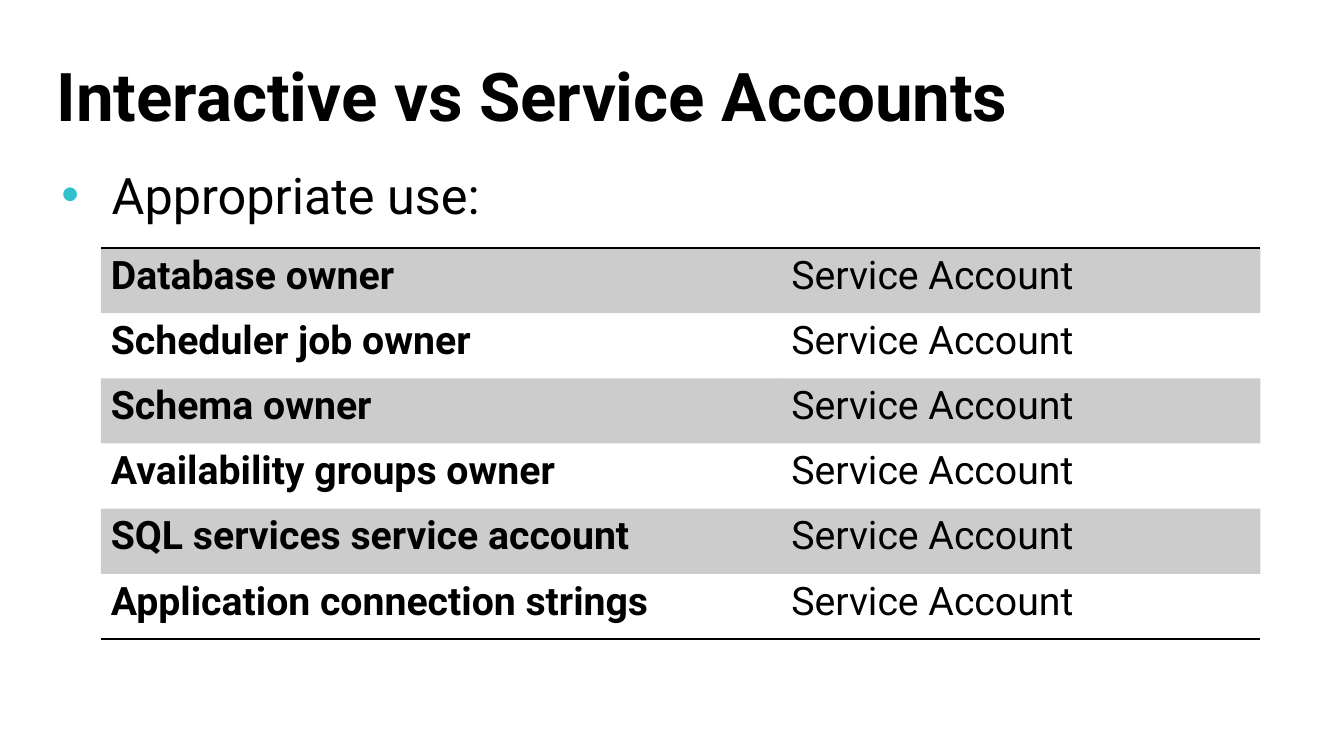
from lxml import etree
from pptx import Presentation
from pptx.dml.color import RGBColor
from pptx.enum.text import MSO_ANCHOR, PP_ALIGN
from pptx.oxml.ns import qn
from pptx.util import Inches, Pt

TOP = MSO_ANCHOR.TOP
LEFT = PP_ALIGN.LEFT
BLACK = RGBColor(0x00, 0x00, 0x00)
TEAL = RGBColor(0x33, 0xC0, 0xCD)
FONT = "Roboto"
TITLE_ONLY = 5

ACCOUNT_USES = [
    "Database owner",
    "Scheduler job owner",
    "Schema owner",
    "Availability groups owner",
    "SQL services service account",
    "Application connection strings",
]


def add_text(p, text, size, bold=False, color=BLACK):
    p.alignment = LEFT
    r = p.add_run()
    r.text = text
    r.font.name = FONT
    r.font.size = Pt(size)
    r.font.bold = bold
    r.font.color.rgb = color


class SlideBuilder:
    def __init__(self, prs):
        self.s = prs.slides.add_slide(prs.slide_layouts[TITLE_ONLY])

    def frame(self, sp, left, top, width, height):
        sp.left, sp.top = Inches(left), Inches(top)
        sp.width, sp.height = Inches(width), Inches(height)
        tf = sp.text_frame
        tf.word_wrap = True
        tf.vertical_anchor = TOP
        tf.margin_left = tf.margin_right = Inches(0.1)
        tf.margin_top = Inches(0.05)
        return tf.paragraphs[0]

    def title(self, text, *box):
        p = self.frame(self.s.shapes.title, *box)
        p.line_spacing = Pt(46.7)
        add_text(p, text, 48, bold=True)

    def bullet(self, text, *box):
        sp = self.s.shapes.add_textbox(0, 0, 0, 0)
        p = self.frame(sp, *box)
        pPr = p._p.get_or_add_pPr()
        pPr.set("marL", str(Inches(0.5)))
        pPr.set("indent", str(-Inches(0.5)))
        color = etree.SubElement(pPr, qn("a:buClr"))
        etree.SubElement(color, qn("a:srgbClr"), val=str(TEAL))
        etree.SubElement(pPr, qn("a:buFont"), typeface="Arial")
        etree.SubElement(pPr, qn("a:buChar"), char="•")
        add_text(p, text, 36)

    def border(self, cell, side, visible):
        tcPr = cell._tc.get_or_add_tcPr()
        ln = etree.SubElement(tcPr, qn(f"a:{side}"), w=str(Pt(1)))
        if visible:
            fill = etree.SubElement(ln, qn("a:solidFill"))
            etree.SubElement(fill, qn("a:srgbClr"), val=str(BLACK))
        else:
            etree.SubElement(ln, qn("a:noFill"))

    def fill(self, cell, shaded):
        if not shaded:
            cell.fill.background()
            return
        cell.fill.solid()
        cell.fill.fore_color.rgb = BLACK
        color = cell._tc.tcPr.find(f"{qn('a:solidFill')}/{qn('a:srgbClr')}")
        etree.SubElement(color, qn("a:alpha"), val="20000")

    def table(self, rows, left, top, widths, height):
        shape = self.s.shapes.add_table(
            len(rows), len(widths), Inches(left), Inches(top),
            Inches(sum(widths)), Inches(height))
        table = shape.table
        table.first_row = False
        table.horz_banding = False
        for column, width in zip(table.columns, widths):
            column.width = Inches(width)
        last = len(rows) - 1
        for i, row in enumerate(rows):
            table.rows[i].height = Inches(height / len(rows))
            for j, text in enumerate(row):
                cell = table.cell(i, j)
                cell.vertical_anchor = TOP
                add_text(cell.text_frame.paragraphs[0], text, 28, bold=j == 0)
                self.border(cell, "lnL", False)
                self.border(cell, "lnR", False)
                self.border(cell, "lnT", i == 0)
                self.border(cell, "lnB", i == last)
                self.fill(cell, shaded=i % 2 == 0)


def main():
    prs = Presentation()
    prs.slide_width = Inches(13.33)
    prs.slide_height = Inches(7.5)
    slide = SlideBuilder(prs)
    slide.title("Interactive vs Service Accounts", 0.46, 0.64, 12.37, 0.9)
    slide.bullet("Appropriate use:", 0.51, 1.58, 12.77, 4.75)
    rows = [(use, "Service Account") for use in ACCOUNT_USES]
    slide.table(rows, 1, 2.46, [6.75, 4.75], 3.88)
    prs.save("out.pptx")


if __name__ == "__main__":
    main()
